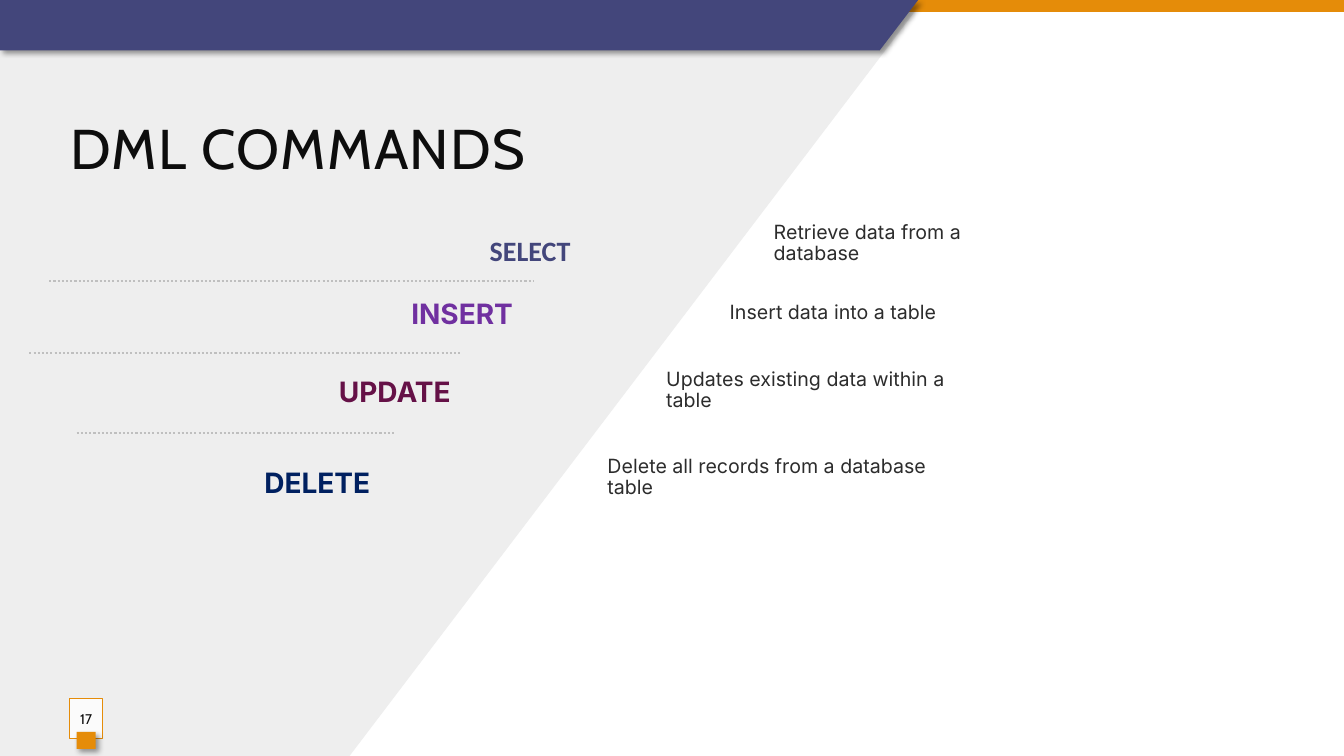
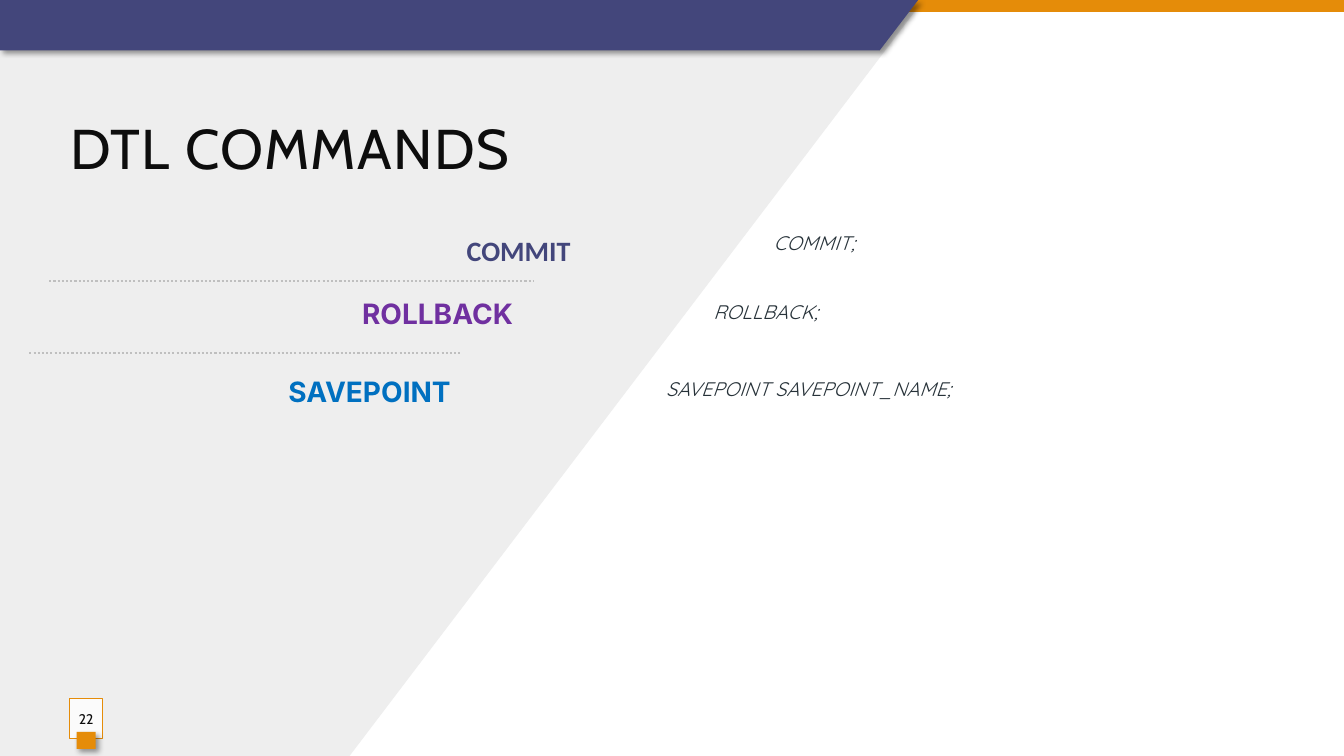
from lxml import etree
from pptx import Presentation
from pptx.dml.color import RGBColor
from pptx.enum import dml, shapes, text
from pptx.oxml import parse_xml
from pptx.oxml.ns import nsdecls, qn
from pptx.util import Cm, Pt

INDIGO = RGBColor(0x43, 0x46, 0x7B)
ORANGE = RGBColor(0xE5, 0x8C, 0x09)
PANEL = RGBColor(0xEE, 0xEE, 0xEE)
WHITE = RGBColor(0xFF, 0xFF, 0xFF)
INK = RGBColor(0x0D, 0x0D, 0x0D)
BODY = RGBColor(0x2C, 0x2C, 0x2C)
SLATE = RGBColor(0x27, 0x32, 0x39)
DOTS = RGBColor(0xBF, 0xBF, 0xBF)
PURPLE = RGBColor(0x70, 0x30, 0xA0)
PLUM = RGBColor(0x65, 0x11, 0x47)
NAVY = RGBColor(0x00, 0x20, 0x60)
BLUE = RGBColor(0x00, 0x70, 0xC0)

WIDTH, HEIGHT = 33.87, 19.05
LABEL_H, NOTE_H = 1.17, 1.9

# Rows: label left, width, middle; then the middle of the description
ROWS = [(0.91, 13.72, 6.35, 6.15), (2.26, 10.92, 7.95, 7.89),
        (4.06, 7.55, 9.91, 9.84), (3.73, 5.85, 12.22, 12.03)]
# Dotted rules between rows: from x, to x, y
RULES = [(1.24, 13.44, 7.09), (0.74, 11.61, 8.89), (1.93, 9.96, 10.92)]

SHADOW = (f'<a:effectLst {nsdecls("a")}><a:outerShdw blurRad="50800" dist="38100" '
          'dir="2700000" algn="tl" rotWithShape="0"><a:srgbClr val="000000">'
          '<a:alpha val="40000"/></a:srgbClr></a:outerShdw></a:effectLst>')


class Deck:
    def __init__(self):
        self.prs = Presentation()
        self.prs.slide_width, self.prs.slide_height = Cm(WIDTH), Cm(HEIGHT)
        self.slide = None

    def new_slide(self, title, number):
        self.slide = self.prs.slides.add_slide(self.prs.slide_layouts[6])
        # Background panel and bands
        self.outline([(0, 0), (23.14, 0), (23.14, 0.18), (8.81, HEIGHT), (0, HEIGHT)], PANEL)
        self.rect(0, 0, WIDTH, 0.3, ORANGE)
        self.outline([(0, 0), (23.14, 0), (22.17, 1.27), (0, 1.27)], INDIGO, shadow=True)
        # Title
        r = self.textbox(1.52, 2.74, 30.02, 1.96, title, 40, "Cabin", INK,
                         anchor=text.MSO_ANCHOR.TOP, spacing=1)
        r._r.get_or_add_rPr().set("spc", "100")
        # Page number badge
        badge = self.rect(1.75, 17.6, 0.84, 1.02, WHITE)
        color = badge.fill._xPr.find(qn("a:solidFill"))[0]
        etree.SubElement(color, qn("a:alpha")).set("val", "82000")
        badge.line.color.rgb, badge.line.width = ORANGE, Pt(0.75)
        badge.text_frame.margin_left = badge.text_frame.margin_right = 0
        self.add_text(badge.text_frame, number, 10, "Cabin", INK,
                      align=text.PP_ALIGN.CENTER, spacing=1)
        self.rect(1.93, 18.44, 0.48, 0.43, ORANGE, shadow=True)

    def paint(self, sp, fill, shadow):
        sp.fill.solid()
        sp.fill.fore_color.rgb = fill
        sp.line.fill.background()
        sp.shadow.inherit = False
        if shadow:
            effects = sp._element.spPr.find(qn("a:effectLst"))
            effects.getparent().replace(effects, parse_xml(SHADOW))
        return sp

    def rect(self, x, y, w, h, fill, shadow=False):
        sp = self.slide.shapes.add_shape(shapes.MSO_SHAPE.RECTANGLE,
                                         Cm(x), Cm(y), Cm(w), Cm(h))
        return self.paint(sp, fill, shadow)

    def outline(self, points, fill, shadow=False):
        start, *rest = [(Cm(x), Cm(y)) for x, y in points]
        builder = self.slide.shapes.build_freeform(*start)
        builder.add_line_segments(rest, close=True)
        return self.paint(builder.convert_to_shape(), fill, shadow)

    def add_text(self, tf, words, size, font, color, bold=False, italic=False,
                 align=text.PP_ALIGN.LEFT, anchor=text.MSO_ANCHOR.MIDDLE, spacing=0.9):
        tf.word_wrap = True
        tf.vertical_anchor = anchor
        p = tf.paragraphs[0]
        p.alignment, p.line_spacing = align, spacing
        r = p.add_run()
        r.text = words
        r.font.size, r.font.name, r.font.color.rgb = Pt(size), font, color
        r.font.bold, r.font.italic = bold, italic
        return r

    def textbox(self, x, y, w, h, *args, **style):
        box = self.slide.shapes.add_textbox(Cm(x), Cm(y), Cm(w), Cm(h))
        return self.add_text(box.text_frame, *args, **style)

    def rule(self, x1, x2, y):
        line = self.slide.shapes.add_connector(shapes.MSO_CONNECTOR.STRAIGHT,
                                               Cm(x1), Cm(y), Cm(x2), Cm(y))
        line.line.color.rgb, line.line.width = DOTS, Pt(1.5)
        line.line.dash_style = dml.MSO_LINE.ROUND_DOT
        etree.SubElement(line._element.spPr, qn("a:effectLst"))

    def commands(self, entries, font, color, italic=False):
        for (x, w, label_mid, note_mid), entry in zip(ROWS, entries):
            label, label_font, label_color, note, note_x, note_w = entry
            self.textbox(x, label_mid - LABEL_H / 2, w, LABEL_H, label, 20, label_font,
                         label_color, bold=True, align=text.PP_ALIGN.RIGHT)
            self.textbox(note_x, note_mid - NOTE_H / 2, note_w, NOTE_H, note, 14, font,
                         color, italic=italic)
        for rule in RULES[:len(entries) - 1]:
            self.rule(*rule)


def main():
    deck = Deck()

    # DML commands
    deck.new_slide("DML COMMANDS", "17")
    deck.commands([
        ("SELECT", "Calibri", INDIGO, "Retrieve data from a database", 19.25, 7.01),
        ("INSERT", "Inter", PURPLE, "Insert data into a table", 18.14, 6.4),
        ("UPDATE", "Inter", PLUM, "Updates existing data within a table", 16.54, 8.46),
        ("DELETE", "Inter", NAVY, "Delete all records from a database table", 15.06, 8.86),
    ], "Inter", BODY)

    # DTL commands
    deck.new_slide("DTL COMMANDS", "22")
    deck.commands([
        ("COMMIT", "Calibri", INDIGO, "COMMIT;", 19.25, 7.01),
        ("ROLLBACK", "Inter", PURPLE, "ROLLBACK;", 17.73, 3.61),
        ("SAVEPOINT", "Inter", BLUE, "SAVEPOINT SAVEPOINT_NAME;", 16.54, 8.99),
    ], "Quicksand", SLATE, italic=True)

    deck.prs.save("out.pptx")


if __name__ == "__main__":
    main()
